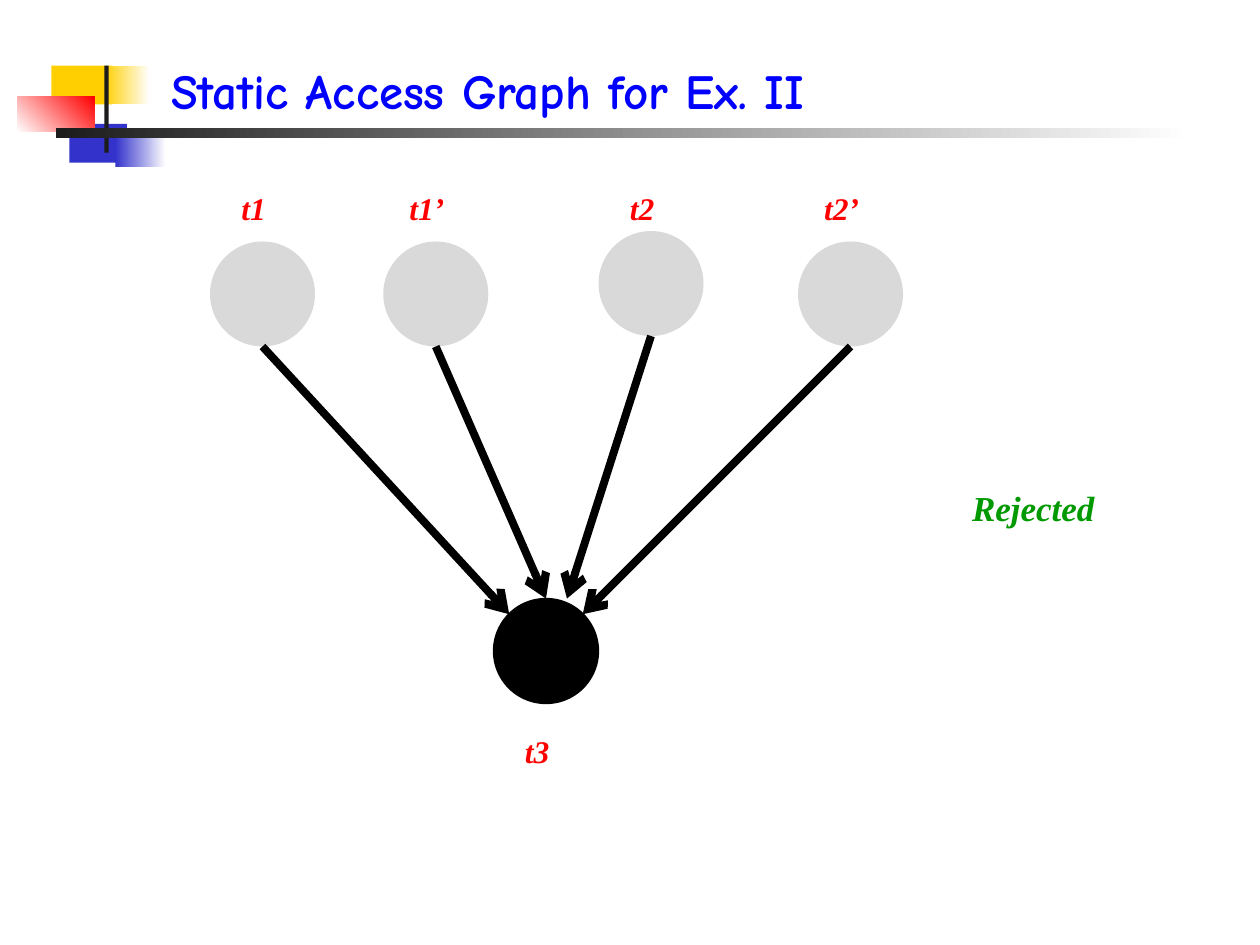
from lxml import etree
from pptx import Presentation
from pptx.dml.color import RGBColor
from pptx.enum.shapes import MSO_CONNECTOR, MSO_SHAPE
from pptx.enum.text import MSO_ANCHOR, PP_ALIGN
from pptx.oxml.ns import qn
from pptx.util import Inches, Pt

RECTANGLE, OVAL = MSO_SHAPE.RECTANGLE, MSO_SHAPE.OVAL
STRAIGHT = MSO_CONNECTOR.STRAIGHT
BOTTOM = MSO_ANCHOR.BOTTOM
LEFT, CENTER = PP_ALIGN.LEFT, PP_ALIGN.CENTER

YELLOW = RGBColor(0xFF, 0xCF, 0x01)
INDIGO = RGBColor(0x33, 0x33, 0xCC)
RED = RGBColor(0xFF, 0x00, 0x00)
CHARCOAL = RGBColor(0x1C, 0x1C, 0x1C)
WHITE = RGBColor(0xFF, 0xFF, 0xFF)
BLACK = RGBColor(0x00, 0x00, 0x00)
GRAY = RGBColor(0xD9, 0xD9, 0xD9)
BLUE = RGBColor(0x00, 0x00, 0xFF)
GREEN = RGBColor(0x00, 0x99, 0x00)

TITLE_ONLY_LAYOUT = 5
COLUMNS, ROWS = 120, 90
CELL = Inches(10) / COLUMNS
DIAMETER = 10
LABEL_WIDTH, LABEL_HEIGHT, LABEL_SHIFT = 34, 4.8, -0.85
LABEL_ROW = 17.4

DECORATIONS = [
    ((4.9, 6.25, 5.8, 3.7), (YELLOW,), 0),
    ((9.95, 6.25, 4.3, 3.7), (YELLOW, WHITE), 0),
    ((6.6, 11.8, 5.5, 3.7), (INDIGO,), 0),
    ((11, 12.25, 4.8, 3.7), (INDIGO, WHITE), 0),
    ((1.65, 9.2, 7.35, 3.35), (WHITE, RED), 45),
    ((9.95, 6.25, 0.4, 8.3), (CHARCOAL,), 0),
    ((5.3, 12.15, 108, 1), (CHARCOAL, WHITE), 0),
]
TASKS = [
    ("t1", 25, 23, (48.5, 58.5)),
    ("t1’", 41.5, 23, (52, 57)),
    ("t2", 62, 22, (54, 57)),
    ("t2’", 81, 23, (55.5, 58.5)),
]


def grid(*cells):
    return [round(cell * CELL) for cell in cells]


def add_filled(slide, kind, box, colors, angle=0):
    shape = slide.shapes.add_shape(kind, *grid(*box))
    shape.shadow.inherit = False
    shape.line.fill.background()
    if len(colors) == 1:
        shape.fill.solid()
        shape.fill.fore_color.rgb = colors[0]
    else:
        shape.fill.gradient()
        shape.fill.gradient_angle = angle
        for stop, color in zip(shape.fill.gradient_stops, colors):
            stop.color.rgb = color
    return shape


def add_node(slide, center, top, color):
    box = (center - DIAMETER / 2, top, DIAMETER, DIAMETER)
    return add_filled(slide, OVAL, box, (color,))


def add_arrow(slide, start, end):
    arrow = slide.shapes.add_connector(STRAIGHT, *grid(*start, *end))
    arrow.line.color.rgb = BLACK
    arrow.line.width = Pt(4.5)
    etree.SubElement(arrow.line._get_or_add_ln(), qn("a:tailEnd"), type="arrow")
    etree.SubElement(arrow._element.spPr, qn("a:effectLst"))


def write(text_frame, text, name, size, color, alignment, italic):
    text_frame.text = text
    paragraph = text_frame.paragraphs[0]
    paragraph.alignment = alignment
    font = paragraph.runs[0].font
    font.name, font.size, font.bold, font.italic = name, Pt(size), True, italic
    font.color.rgb = color


def add_text(slide, box, text, size, color, alignment, wrap=True):
    text_frame = slide.shapes.add_textbox(*grid(*box)).text_frame
    text_frame.word_wrap = wrap
    write(text_frame, text, "Times New Roman", size, color, alignment, True)


def add_label(slide, text, center, top):
    left = center - LABEL_WIDTH / 2 + LABEL_SHIFT
    add_text(slide, (left, top, LABEL_WIDTH, LABEL_HEIGHT), text, 18, RED, CENTER)


def set_title(slide, text):
    title = slide.shapes.title
    title.left, title.top, title.width, title.height = grid(15.1, 3, 102.2, 9)
    title.text_frame.vertical_anchor = BOTTOM
    write(title.text_frame, text, "Comic Neue", 28, BLUE, LEFT, False)


def main():
    presentation = Presentation()
    presentation.slide_width, presentation.slide_height = grid(COLUMNS, ROWS)
    layout = presentation.slide_layouts[TITLE_ONLY_LAYOUT]
    slide = presentation.slides.add_slide(layout)
    for box, colors, angle in DECORATIONS:
        add_filled(slide, RECTANGLE, box, colors, angle)
    set_title(slide, "Static Access Graph for Ex. II")

    resource = add_node(slide, 52, 57, BLACK)
    resource.line.color.rgb = BLACK
    resource.line.width = Pt(0.75)
    add_label(slide, "t3", 52, 69.1)
    for name, center, top, target in TASKS:
        add_node(slide, center, top, GRAY)
        add_arrow(slide, (center, top + DIAMETER), target)
        add_label(slide, name, center, LABEL_ROW)
    add_text(slide, (91.4, 45.7, 15.4, 5.3), "Rejected", 20, GREEN, LEFT, False)
    presentation.save("out.pptx")


main()
